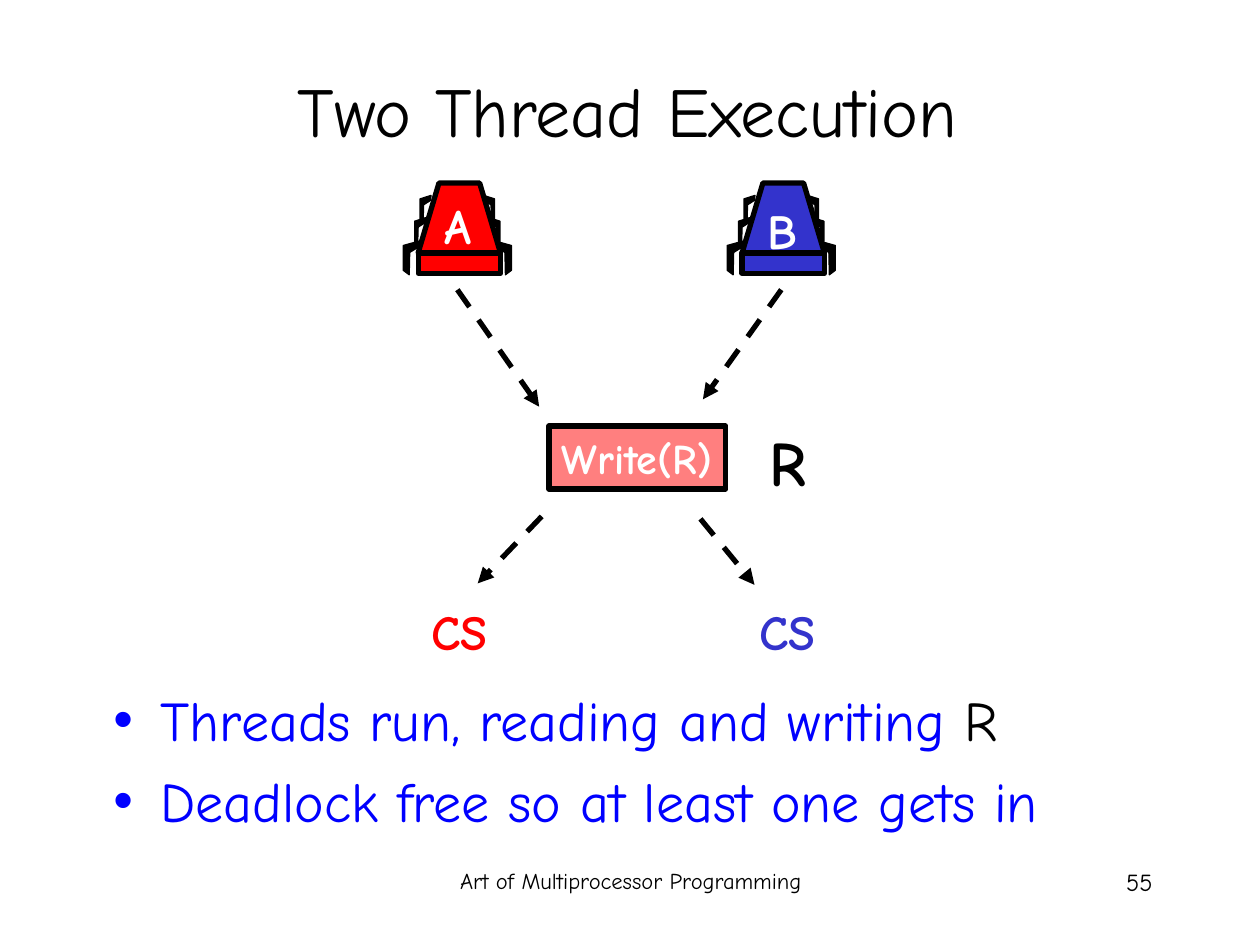
from lxml.etree import SubElement
from pptx import Presentation
from pptx.dml.color import RGBColor
from pptx.enum.dml import MSO_LINE
from pptx.enum.shapes import MSO_CONNECTOR, MSO_SHAPE
from pptx.enum.text import MSO_ANCHOR, MSO_AUTO_SIZE, PP_ALIGN
from pptx.oxml.ns import qn
from pptx.util import Cm, Pt

BLACK = RGBColor(0, 0, 0)
WHITE = RGBColor(255, 255, 255)
RED = RGBColor(255, 0, 0)
BLUE = RGBColor(0x33, 0x33, 0xCC)
INK = RGBColor(0, 0, 255)
FACE = "Comic Neue"

HULL = [(-0.83, 5.1), (-0.41, 3.69), (0.41, 3.69), (0.83, 5.1)]
FOOT = [(0.73, 4.85), (1.09, 4.95), (1.09, 5.45), (0.97, 5.54), (0.96, 5.09), (0.75, 4.96)]
ARM = [(0.53, 3.94), (0.75, 4.01), (0.75, 4.42), (0.69, 4.48), (0.68, 4.13), (0.54, 4.04)]
ELBOW = [(x + 0.11, y + 0.45) for x, y in ARM]


def style(item, **vals):
    """Set each format value on the item."""
    for key, val in vals.items():
        setattr(item, key, val)


def write(para, text, size, color, bold=False):
    """Add one run of text to a paragraph."""
    run = para.add_run()
    run.text = text
    style(run.font, name=FACE, size=Pt(size), bold=bold)
    run.font.color.rgb = color


def place(shape, left, top, width, height):
    """Move and size a shape in centimetres."""
    style(shape, left=Cm(left), top=Cm(top), width=Cm(width), height=Cm(height))


def label(shapes, box, text, size, color, align=PP_ALIGN.LEFT, bold=True):
    """Add a text box that holds one line."""
    frame = shapes.add_textbox(*map(Cm, box)).text_frame
    style(frame, word_wrap=not bold,
          auto_size=MSO_AUTO_SIZE.SHAPE_TO_FIT_TEXT if bold else MSO_AUTO_SIZE.NONE)
    para = frame.paragraphs[0]
    para.alignment = align
    write(para, text, size, color, bold)


def paint(shape, fill, width):
    """Give a shape a flat fill and a black line."""
    shape.shadow.inherit = False
    shape.fill.solid()
    shape.fill.fore_color.rgb = fill
    shape.line.color.rgb = BLACK
    shape.line.width = Pt(width)


def outline(shapes, mid, points, fill, width, side=1):
    """Draw a closed outline about a middle line, flipped if side is -1."""
    spots = [(Cm(mid + side * x), Cm(y)) for x, y in points]
    form = shapes.build_freeform(*spots[0])
    form.add_line_segments(spots[1:], close=True)
    paint(form.convert_to_shape(), fill, width)


def limbs(shapes, mid, points):
    """Draw a limb on both sides."""
    for side in (1, -1):
        outline(shapes, mid - 0.04, points, BLACK, 0.75, side)


def thread(slide, mid, name, top, color):
    """Draw one thread with its limbs and its name."""
    shapes = slide.shapes.add_group_shape().shapes
    limbs(shapes, mid, FOOT)
    limbs(shapes, mid, ELBOW)
    outline(shapes, mid, HULL, color, 3)
    base = shapes.add_shape(MSO_SHAPE.RECTANGLE, Cm(mid - 0.83), Cm(5.1), Cm(1.66), Cm(0.41))
    paint(base, color, 3)
    limbs(shapes, mid, ARM)
    label(shapes, (mid - 0.57, top, 1.1, 1.45), name, 28, WHITE, PP_ALIGN.CENTER)


def arrow(slide, ends):
    """Draw a dashed arrow."""
    link = slide.shapes.add_connector(MSO_CONNECTOR.STRAIGHT, *map(Cm, ends))
    style(link.line, width=Pt(3), dash_style=MSO_LINE.DASH)
    link.line.color.rgb = BLACK
    SubElement(link.line._get_or_add_ln(), qn("a:tailEnd"), type="triangle")
    SubElement(link._element.spPr, qn("a:effectLst"))


def store(slide):
    """Draw the half clear box for the write step."""
    box = slide.shapes.add_shape(MSO_SHAPE.RECTANGLE, Cm(11.07), Cm(8.59), Cm(3.56), Cm(1.27))
    paint(box, RED, 3)
    tint = box._element.spPr.find(qn("a:solidFill")).find(qn("a:srgbClr"))
    SubElement(tint, qn("a:alpha"), val="50000")
    box.text_frame.word_wrap = False
    para = box.text_frame.paragraphs[0]
    para.alignment = PP_ALIGN.LEFT
    write(para, "Write(R)", 24, WHITE, True)


def title(slide, text):
    """Fill the title placeholder."""
    head = slide.shapes.title
    place(head, 1.85, 0.61, 21.59, 3.18)
    style(head.text_frame, vertical_anchor=MSO_ANCHOR.MIDDLE, auto_size=MSO_AUTO_SIZE.NONE)
    para = head.text_frame.paragraphs[0]
    para.alignment = PP_ALIGN.CENTER
    write(para, text, 40, BLACK)


def points(slide, lines):
    """Fill the body placeholder with bullet lines."""
    body = slide.placeholders[1]
    place(body, 2.03, 13.69, 21.59, 3.48)
    frame = body.text_frame
    frame.auto_size = MSO_AUTO_SIZE.NONE
    for num, line in enumerate(lines):
        para = frame.add_paragraph() if num else frame.paragraphs[0]
        para.space_before = Pt(8 if num else 0)
        for text, color in line:
            write(para, text, 32, color)


def main():
    """Build the slide and save it."""
    deck = Presentation()
    style(deck, slide_width=Cm(25.4), slide_height=Cm(19.05))
    slide = deck.slides.add_slide(deck.slide_layouts[1])
    shapes = slide.shapes
    title(slide, "Two Thread Execution")
    points(slide, [
        [("Threads run, reading and writing ", INK), ("R", BLACK)],
        [("Deadlock free so at least one gets in", INK)],
    ])
    for mid, name, top, left, color in (
        (9.26, "A", 3.81, 8.38, RED),
        (15.79, "B", 3.91, 14.99, BLUE),
    ):
        thread(slide, mid, name, top, color)
        label(shapes, (left, 12.01, 1.7, 1.45), "CS", 28, color, PP_ALIGN.RIGHT)
    for ends in (
        (9.22, 5.84, 10.87, 8.2),
        (15.75, 5.84, 14.17, 8.05),
        (14.12, 10.46, 15.21, 11.79),
        (10.92, 10.41, 9.63, 11.76),
    ):
        arrow(slide, ends)
    store(slide)
    label(shapes, (15.27, 8.41, 1.24, 1.78), "R", 36, BLACK)
    label(shapes, (8.69, 17.35, 8.05, 1.27), "Art of Multiprocessor Programming",
          12.9, BLACK, PP_ALIGN.CENTER, False)
    label(shapes, (18.21, 17.35, 5.28, 1.27), "55", 14, BLACK, PP_ALIGN.RIGHT, False)
    deck.save("out.pptx")


if __name__ == "__main__":
    main()
